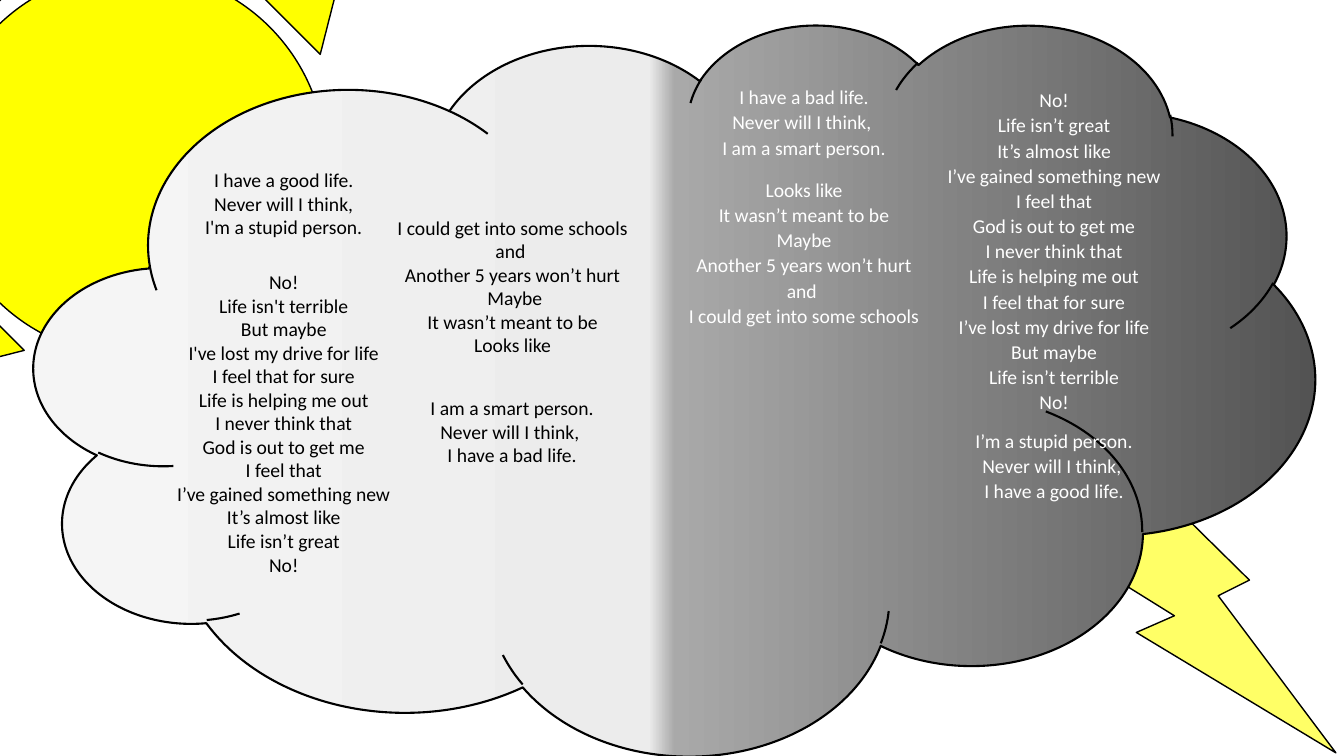
from copy import deepcopy
from dataclasses import dataclass

from lxml import etree
from pptx import Presentation
from pptx import util as u
from pptx.dml.color import RGBColor
from pptx.enum import shapes, text
from pptx.oxml.ns import qn

PX = u.Inches(1) // 100


@dataclass(frozen=True)
class Theme:
    ink: str = "000000"
    chalk: str = "FFFFFF"
    sun: str = "FFFF00"
    bolt: str = "FFFF66"
    cloud: tuple = ((0, "F5F5F5"), (48, "ECECEC"), (50, "A9A9A9"), (100, "535353"))
    font: str = "Calibri"
    verse_size: int = 14
    thin: float = 1
    thick: float = 1.5


THEME = Theme()
LIGHT = {"alignment": text.PP_ALIGN.CENTER}
DARK = {**LIGHT, "line_spacing": 1.07, "space_after": u.Pt(8)}

LIGHT_VERSES = [
    ((293, 388, 430, 81), [
        "I am a smart person.", "Never will I think, ", "I have a bad life."]),
    ((-52, 162, 667, 81), [
        "I have a good life.", "Never will I think,", "I'm a stupid person."]),
    ((-52, 263, 667, 316), [
        "No!", "Life isn't terrible", "But maybe",
        "I've lost my drive for life", "I feel that for sure",
        "Life is helping me out", "I never think that",
        "God is out to get me", "I feel that",
        "I’ve gained something new", "It’s almost like",
        "Life isn’t great", "No!"]),
    ((175, 209, 667, 151), [
        "I could get into some schools", "and ",
        "Another 5 years won’t hurt", " Maybe",
        "It wasn’t meant to be", "Looks like"]),
]
DARK_VERSES = [
    ((464, 78, 667, 85), [
        "I have a bad life.", "Never will I think, ", "I am a smart person."]),
    ((464, 170, 667, 160), [
        "Looks like", "It wasn’t meant to be", "Maybe",
        "Another 5 years won’t hurt", "and ",
        "I could get into some schools"]),
    ((712, 81, 667, 337), [
        "No!", "Life isn’t great", "It’s almost like",
        "I’ve gained something new", "I feel that",
        "God is out to get me", "I never think that",
        "Life is helping me out", "I feel that for sure",
        "I’ve lost my drive for life", "But maybe",
        "Life isn’t terrible", "No!"]),
    ((712, 419, 667, 86), [
        "I’m a stupid person.", "Never will I think, ", "I have a good life."]),
]


def emu(box):
    return [length * PX for length in box]


def apply_format(target, values):
    for name, value in values.items():
        setattr(target, name, value)


def add_weather(slide, preset, box, outline):
    weather = slide.shapes.add_shape(preset, *emu(box))
    weather.shadow.inherit = False
    weather.line.color.rgb = RGBColor.from_string(THEME.ink)
    weather.line.width = u.Pt(outline)
    return weather


def fill_solid(weather, color):
    weather.fill.solid()
    weather.fill.fore_color.rgb = RGBColor.from_string(color)


def fill_gradient(weather, stops):
    weather.fill.gradient()
    weather.fill.gradient_angle = 0
    stop_list = weather.element.spPr.find(qn("a:gradFill")).find(qn("a:gsLst"))
    for old_stop in list(stop_list):
        stop_list.remove(old_stop)
    for percent, color in stops:
        stop = etree.SubElement(stop_list, qn("a:gs"), pos=str(percent * 1000))
        etree.SubElement(stop, qn("a:srgbClr"), val=color)


def add_verse(slide, box, lines, color, layout):
    frame = slide.shapes.add_textbox(*emu(box)).text_frame
    apply_format(frame, {"word_wrap": True,
                         "auto_size": text.MSO_AUTO_SIZE.SHAPE_TO_FIT_TEXT})
    verse = frame.paragraphs[0]
    verse.text = "\v".join(lines)
    apply_format(verse, layout)
    for line in verse.runs:
        apply_format(line.font, {"name": THEME.font, "size": u.Pt(THEME.verse_size)})
        line.font.color.rgb = RGBColor.from_string(color)
    line_format = verse.runs[0].font._element
    for line_break in verse._p.findall(qn("a:br")):
        line_break.append(deepcopy(line_format))


def main():
    deck = Presentation()
    apply_format(deck, {"slide_width": 1333 * PX, "slide_height": 750 * PX})
    slide = deck.slides.add_slide(deck.slide_layouts[6])
    preset = shapes.MSO_SHAPE

    bolt = add_weather(slide, preset.LIGHTNING_BOLT, (956, 361, 369, 386), THEME.thin)
    fill_solid(bolt, THEME.bolt)
    sun = add_weather(slide, preset.SUN, (-168, -138, 600, 600), THEME.thin)
    sun.adjustments[0] = 0.181
    fill_solid(sun, THEME.sun)
    cloud = add_weather(slide, preset.CLOUD, (34, 23, 1270, 725), THEME.thick)
    fill_gradient(cloud, THEME.cloud)

    for verses, color, layout in ((LIGHT_VERSES, THEME.ink, LIGHT),
                                  (DARK_VERSES, THEME.chalk, DARK)):
        for box, lines in verses:
            add_verse(slide, box, lines, color, layout)

    deck.save("out.pptx")


if __name__ == "__main__":
    main()
